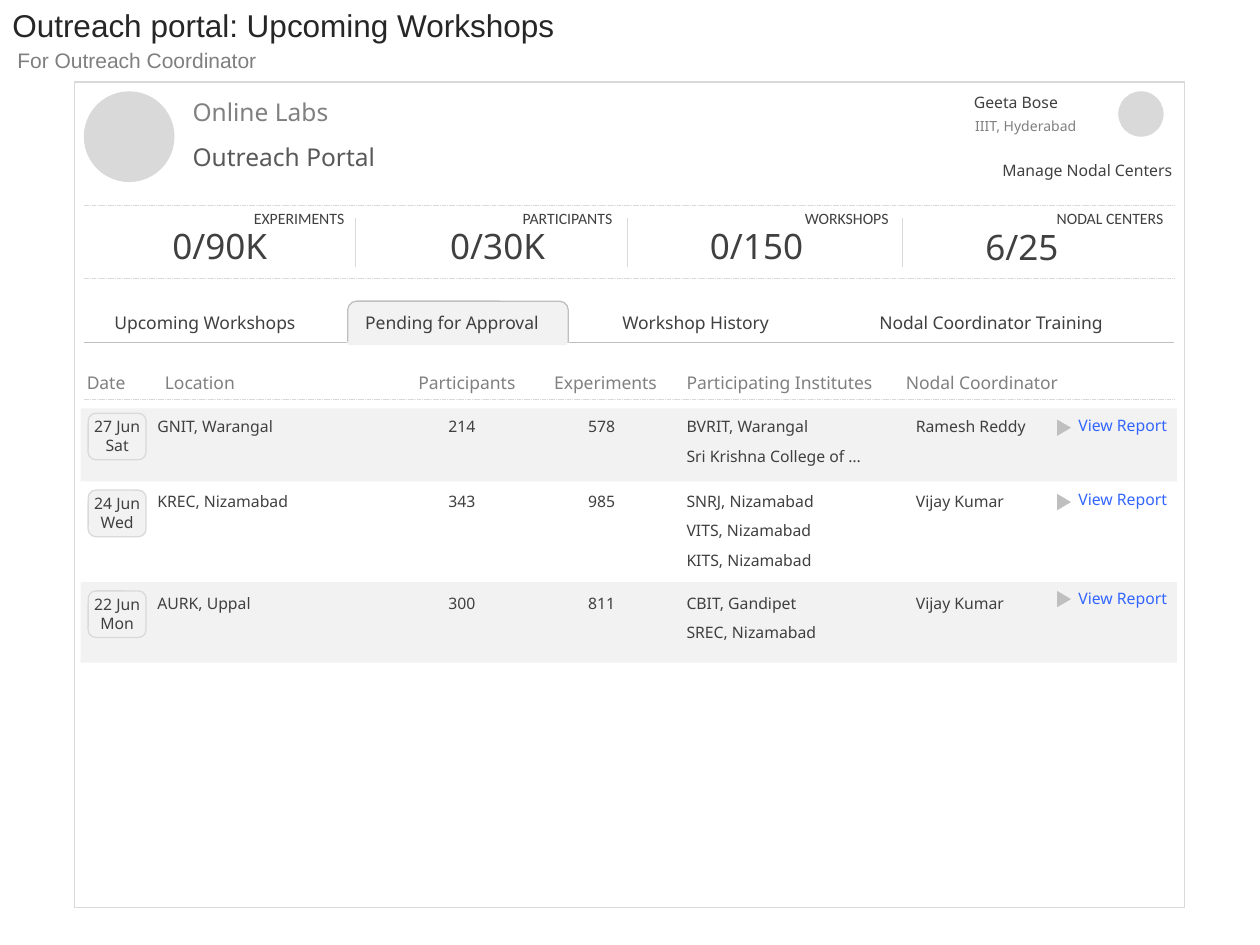
from lxml import etree
from pptx import Presentation
from pptx.dml.color import RGBColor
from pptx.enum.dml import MSO_LINE
from pptx.enum.shapes import MSO_CONNECTOR, MSO_SHAPE
from pptx.enum.text import MSO_AUTO_SIZE, PP_ALIGN
from pptx.oxml.ns import qn
from pptx.util import Inches, Pt

RECT, ROUND = MSO_SHAPE.RECTANGLE, MSO_SHAPE.ROUNDED_RECTANGLE
OVAL, ARROW = MSO_SHAPE.OVAL, MSO_SHAPE.ISOSCELES_TRIANGLE
LEFT, MID, RIGHT = PP_ALIGN.LEFT, PP_ALIGN.CENTER, PP_ALIGN.RIGHT
FIT = MSO_AUTO_SIZE.SHAPE_TO_FIT_TEXT
DASH = MSO_LINE.SQUARE_DOT
STRAIGHT = MSO_CONNECTOR.STRAIGHT

COLORS = {
    "title": "262626", "ink": "404040", "dark": "595959", "sub": "7F7F7F",
    "gray": "808080", "mid": "BFBFBF", "rule": "D9D9D9", "band": "F2F2F2",
    "white": "FFFFFF", "link": "3366FF",
}
EDGE_L, EDGE_R = 0.67, 9.32

# label, label left, label width, label alignment, value, value left, width, top
STATS = [
    ("EXPERIMENTS", 1.35, 1.48, RIGHT, "0/90K", 1.18, 1.13, 1.73),
    ("PARTICIPANTS", 4.05, 0.96, LEFT, "0/30K", 3.15, 1.6, 1.73),
    ("WORKSHOPS", 5.67, 1.48, RIGHT, "0/150", 5.39, 1.23, 1.73),
    ("NODAL CENTERS", 7.85, 1.48, RIGHT, "6/25", 7.4, 1.42, 1.74),
]
TABS = [
    ("Upcoming Workshops", 0.81, 1.74),
    ("Pending for Approval", 2.8, 1.75),
    ("Workshop History", 4.84, 1.75),
    ("Nodal Coordinator Training", 6.88, 2.05),
]
HEADS = [
    ("Date", 0.59, 0.59, LEFT),
    ("Location", 1.21, 1.15, LEFT),
    ("Participants", 3.13, 1.15, MID),
    ("Experiments", 4.23, 1.15, MID),
    ("Participating Institutes", 5.35, 1.98, LEFT),
    ("Nodal Coordinator", 7.09, 1.55, LEFT),
]
# left and width of location, participants, experiments, institutes, coordinator
COLS = [(1.15, 1.65), (3.46, 0.48), (4.57, 0.48), (5.35, 2.21), (7.17, 1.38)]
# text top, badge top, link top, arrow top, date, cells
ROWS = [
    (3.26, 3.28, 3.25, 3.34, "27 Jun\nSat",
     ["GNIT, Warangal", "214", "578",
      "BVRIT, Warangal\nSri Krishna College of …", "Ramesh Reddy"]),
    (3.85, 3.89, 3.84, 3.93, "24 Jun\nWed",
     ["KREC, Nizamabad", "343", "985",
      "SNRJ, Nizamabad\nVITS, Nizamabad\nKITS, Nizamabad", "Vijay Kumar"]),
    (4.66, 4.69, 4.62, 4.7, "22 Jun\nMon",
     ["AURK, Uppal", "300", "811",
      "CBIT, Gandipet\nSREC, Nizamabad", "Vijay Kumar"]),
]
BANDS = [(3.24, 0.58), (4.62, 0.64)]


def paint(name):
    return RGBColor.from_string(COLORS[name])


def add_shape(shapes, kind, x, y, w, h, fill=None, line=None):
    shape = shapes.add_shape(kind, Inches(x), Inches(y), Inches(w), Inches(h))
    shape.shadow.inherit = False
    if fill:
        shape.fill.solid()
        shape.fill.fore_color.rgb = paint(fill)
    else:
        shape.fill.background()
    if line:
        shape.line.color.rgb = paint(line)
        shape.line.width = Pt(0.75)
    else:
        shape.line.fill.background()
    return shape


def add_text(shapes, text, x, y, w, h, size=9, color="ink", align=LEFT,
             font="Noto Sans", after=None):
    box = shapes.add_textbox(Inches(x), Inches(y), Inches(w), Inches(h))
    frame = box.text_frame
    frame.word_wrap = True
    frame.auto_size = FIT
    frame.text = text
    for para in frame.paragraphs:
        para.alignment = align
        if after is not None:
            para.space_after = Pt(after)
        for run in para.runs:
            run.font.size = Pt(size)
            run.font.name = font
            run.font.color.rgb = paint(color)


def add_line(shapes, x1, y1, x2, y2, color="rule", width=0.25, dash=None):
    line = shapes.add_connector(
        STRAIGHT, Inches(x1), Inches(y1), Inches(x2), Inches(y2))
    line.line.color.rgb = paint(color)
    line.line.width = Pt(width)
    if dash:
        line.line.dash_style = dash
    etree.SubElement(line._element.spPr, qn("a:effectLst"))


def add_header(shapes):
    add_text(shapes, "Outreach portal: Upcoming Workshops", 0, 0, 9.66, 0.4,
             18, "title", font="Arial")
    add_text(shapes, "For Outreach Coordinator", 0.04, 0.33, 2.17, 0.3,
             12, "sub", font="Arial")
    add_shape(shapes, OVAL, 0.67, 0.73, 0.71, 0.71, "rule", "rule")
    add_text(shapes, "Online Labs", 1.43, 0.72, 1.94, 0.34, 14, "gray")
    add_text(shapes, "Outreach Portal", 1.43, 1.08, 1.94, 0.34, 14, "dark")
    add_text(shapes, "Geeta Bose", 7.63, 0.69, 1.25, 0.25)
    add_text(shapes, "IIIT, Hyderabad", 7.64, 0.88, 1.25, 0.24, 8, "gray")
    add_shape(shapes, OVAL, 8.88, 0.73, 0.35, 0.35, "rule", "rule")
    add_text(shapes, "Manage Nodal Centers", 7.23, 1.23, 2.17, 0.25,
             align=RIGHT)


def add_stats(shapes):
    for y in (1.63, 2.21):
        add_line(shapes, EDGE_L, y, EDGE_R, y, dash=DASH)
    for x in (2.82, 4.98, 7.16):
        add_line(shapes, x, 1.73, x, 2.12)
    for label, x, w, align, value, left, wide, top in STATS:
        add_text(shapes, value, left, top, wide, 0.44, 20, align=MID)
        add_text(shapes, label, x, 1.61, w, 0.25, align=align, font="Calibri")


def add_tabs(shapes):
    """Draw the tab row; two covers open the active tab at its foot."""
    add_shape(shapes, ROUND, 2.76, 2.39, 1.75, 0.42, "band", "mid")
    add_line(shapes, EDGE_L, 2.72, EDGE_R, 2.72, "mid", 0.75)
    add_shape(shapes, RECT, 2.75, 2.72, 1.77, 0.12, "white")
    add_shape(shapes, RECT, 2.76, 2.71, 1.74, 0.03, "band")
    for name, x, w in TABS:
        add_text(shapes, name, x, 2.43, w, 0.27, 10)


def add_badge(shapes, date, y):
    group = shapes.add_group_shape().shapes
    add_shape(group, ROUND, 0.7, y, 0.46, 0.37, "band", "rule")
    add_text(group, date, 0.63, y - 0.02, 0.6, 0.4, align=MID)


def add_row(shapes, top, badge, link, arrow, date, cells):
    add_badge(shapes, date, badge)
    for text, (x, w) in zip(cells, COLS):
        lines = text.count("\n") + 1
        after = 6 if lines > 1 else None
        add_text(shapes, text, x, top, w, 0.25 + 0.235 * (lines - 1),
                 after=after)
    add_text(shapes, "View Report", 8.42, link, 0.94, 0.25, color="link",
             align=RIGHT)
    add_shape(shapes, ARROW, 8.38, arrow, 0.13, 0.11, "mid").rotation = 90


def add_list(shapes):
    for name, x, w, align in HEADS:
        add_text(shapes, name, x, 2.9, w, 0.27, 10, "gray", align)
    add_line(shapes, EDGE_L, 3.17, EDGE_R, 3.17, dash=DASH)
    for row in ROWS:
        add_row(shapes, *row)


def main():
    deck = Presentation()
    deck.slide_width, deck.slide_height = Inches(10), Inches(7.5)
    shapes = deck.slides.add_slide(deck.slide_layouts[6]).shapes
    for y, h in BANDS:
        add_shape(shapes, RECT, 0.64, y, 8.7, h, "band")
    add_shape(shapes, RECT, 0.59, 0.65, 8.81, 6.55, line="rule")
    add_header(shapes)
    add_stats(shapes)
    add_tabs(shapes)
    add_list(shapes)
    deck.save("out.pptx")


if __name__ == "__main__":
    main()
